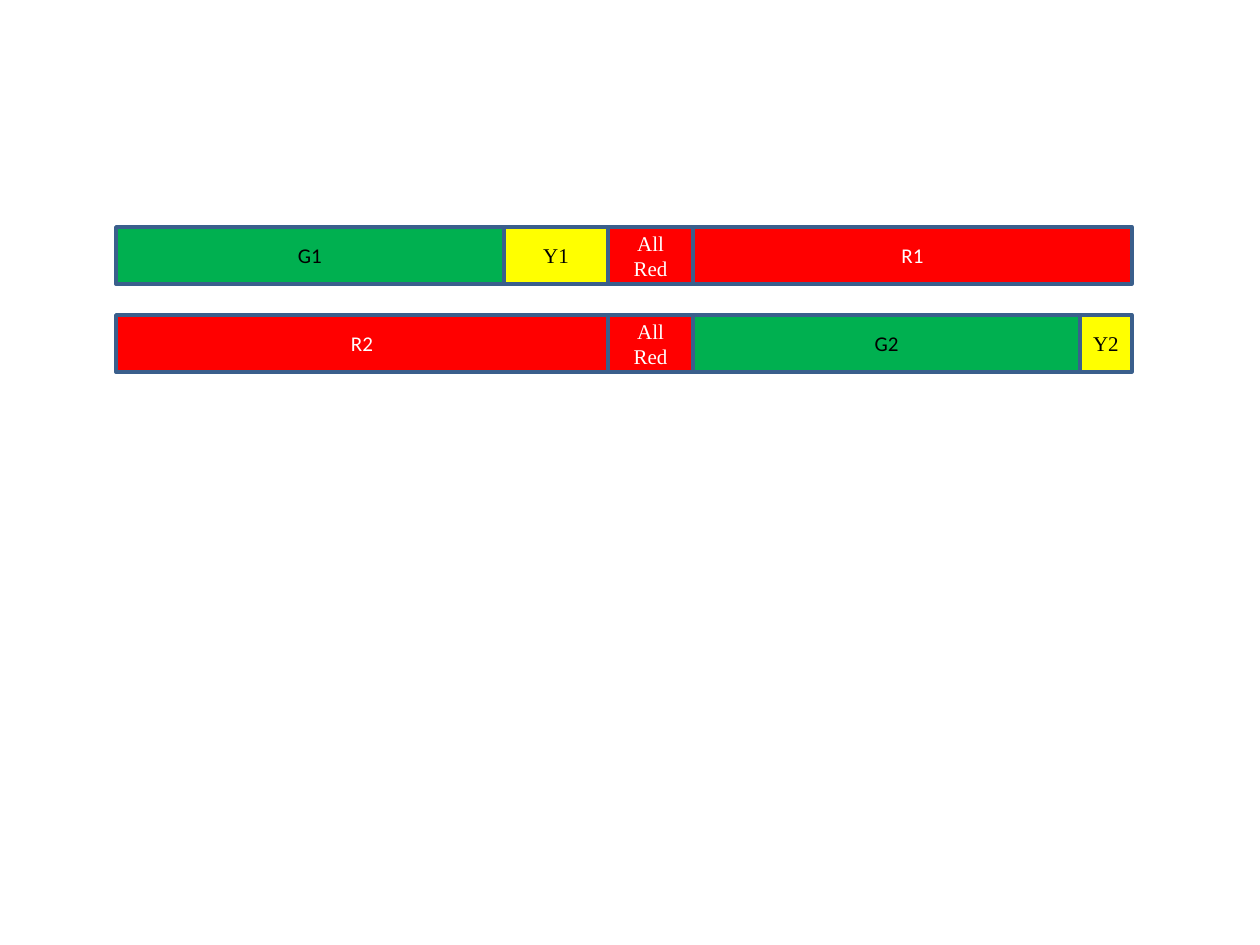
from dataclasses import dataclass
from itertools import pairwise

from pptx import Presentation
from pptx.dml.color import RGBColor
from pptx.enum.shapes import MSO_SHAPE
from pptx.enum.text import MSO_ANCHOR, PP_ALIGN
from pptx.util import Inches, Pt


@dataclass(frozen=True)
class Theme:
    """Colours, fonts and sizes of the signal timing diagram."""
    green: str = "00B050"
    yellow: str = "FFFF00"
    red: str = "FF0000"
    outline: str = "3A5F8C"
    dark: str = "000000"
    light: str = "FFFFFF"
    sans: str = "Calibri"
    serif: str = "Times New Roman"
    text_size: int = 12
    line_width: int = 2


class TimingSlide:
    """Draws signal phases on one slide, measured in pixels."""

    def __init__(self, presentation, theme):
        self.theme = theme
        self.slide = presentation.slides.add_slide(presentation.slide_layouts[6])
        self.diagram = self.slide.shapes.add_group_shape()

    def emu(self, pixels):
        """Convert pixels to EMU."""
        return Inches(pixels / 126)

    def phase(self, label, fill, ink, font, left, top, width, height):
        """Add one labelled phase block."""
        block = self.diagram.shapes.add_shape(
            MSO_SHAPE.RECTANGLE, *map(self.emu, (left, top, width, height)))
        block.shadow.inherit = False
        block.fill.solid()
        block.fill.fore_color.rgb = RGBColor.from_string(fill)
        block.line.color.rgb = RGBColor.from_string(self.theme.outline)
        block.line.width = Pt(self.theme.line_width)
        frame = block.text_frame
        frame.word_wrap = True
        frame.vertical_anchor = MSO_ANCHOR.MIDDLE
        paragraph = frame.paragraphs[0]
        paragraph.text = label
        paragraph.alignment = PP_ALIGN.CENTER
        paragraph.font.name = font
        paragraph.font.size = Pt(self.theme.text_size)
        paragraph.font.color.rgb = RGBColor.from_string(ink)

    def timeline(self, top, height, boundaries, phases):
        """Add a row of phases between consecutive boundaries."""
        for (start, end), style in zip(pairwise(boundaries), phases):
            self.phase(*style, start, top, end - start, height)


theme = Theme()
presentation = Presentation()
presentation.slide_width = Inches(10)
presentation.slide_height = Inches(7.5)
signal = TimingSlide(presentation, theme)

green = (theme.green, theme.dark, theme.sans)
yellow = (theme.yellow, theme.dark, theme.serif)
red = (theme.red, theme.light, theme.sans)
all_red = ("All Red", theme.red, theme.light, theme.serif)

cycle_start, clearance_start, clearance_end, cycle_end = 116, 608, 693, 1132
row_top, row_pitch, row_height = 227, 88, 57
timelines = [
    ((cycle_start, 504, clearance_start, clearance_end, cycle_end),
     (("G1", *green), ("Y1", *yellow), all_red, ("R1", *red))),
    ((cycle_start, clearance_start, clearance_end, 1080, cycle_end),
     (("R2", *red), all_red, ("G2", *green), ("Y2", *yellow))),
]
for row, (boundaries, phases) in enumerate(timelines):
    signal.timeline(row_top + row * row_pitch, row_height, boundaries, phases)

presentation.save("out.pptx")
